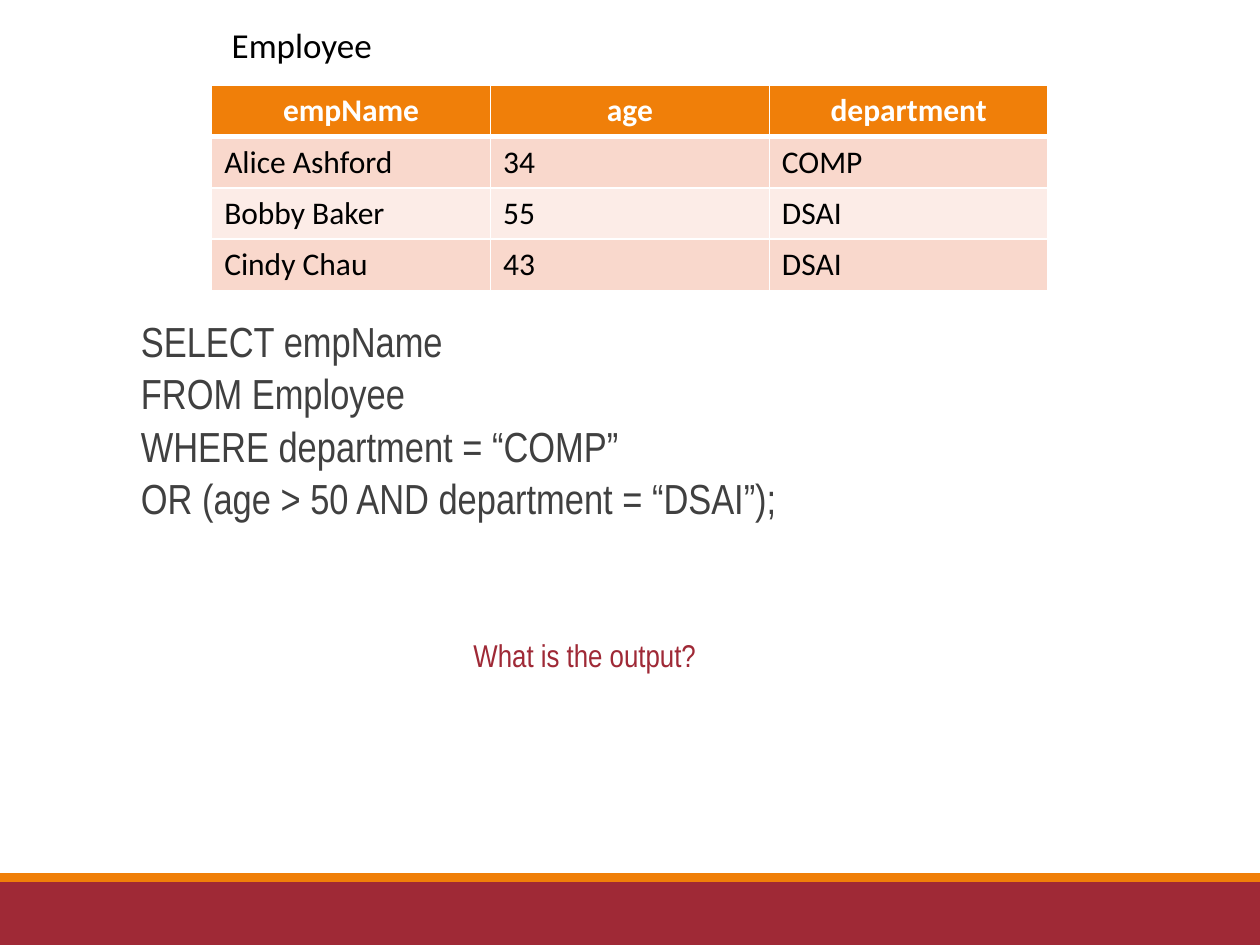
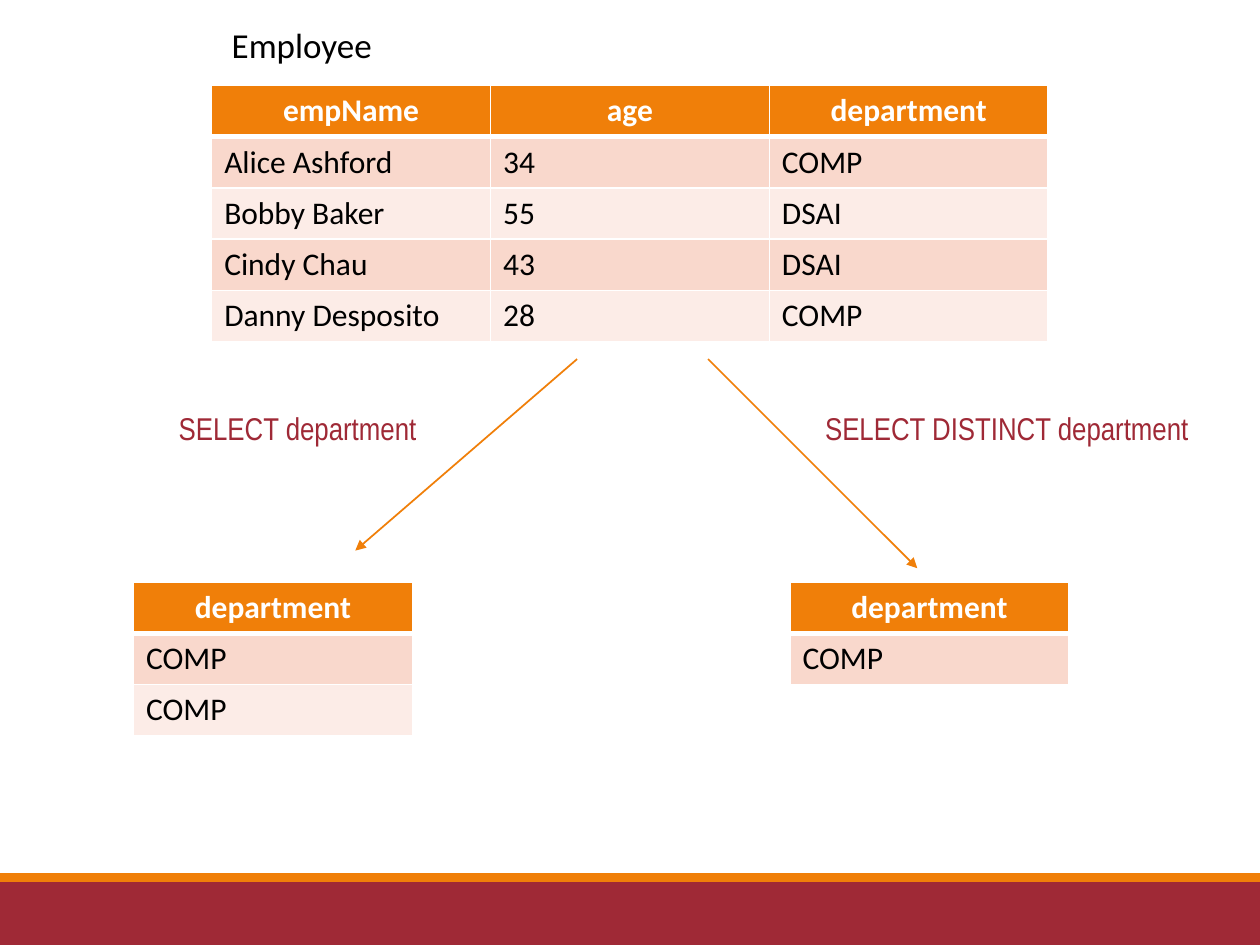
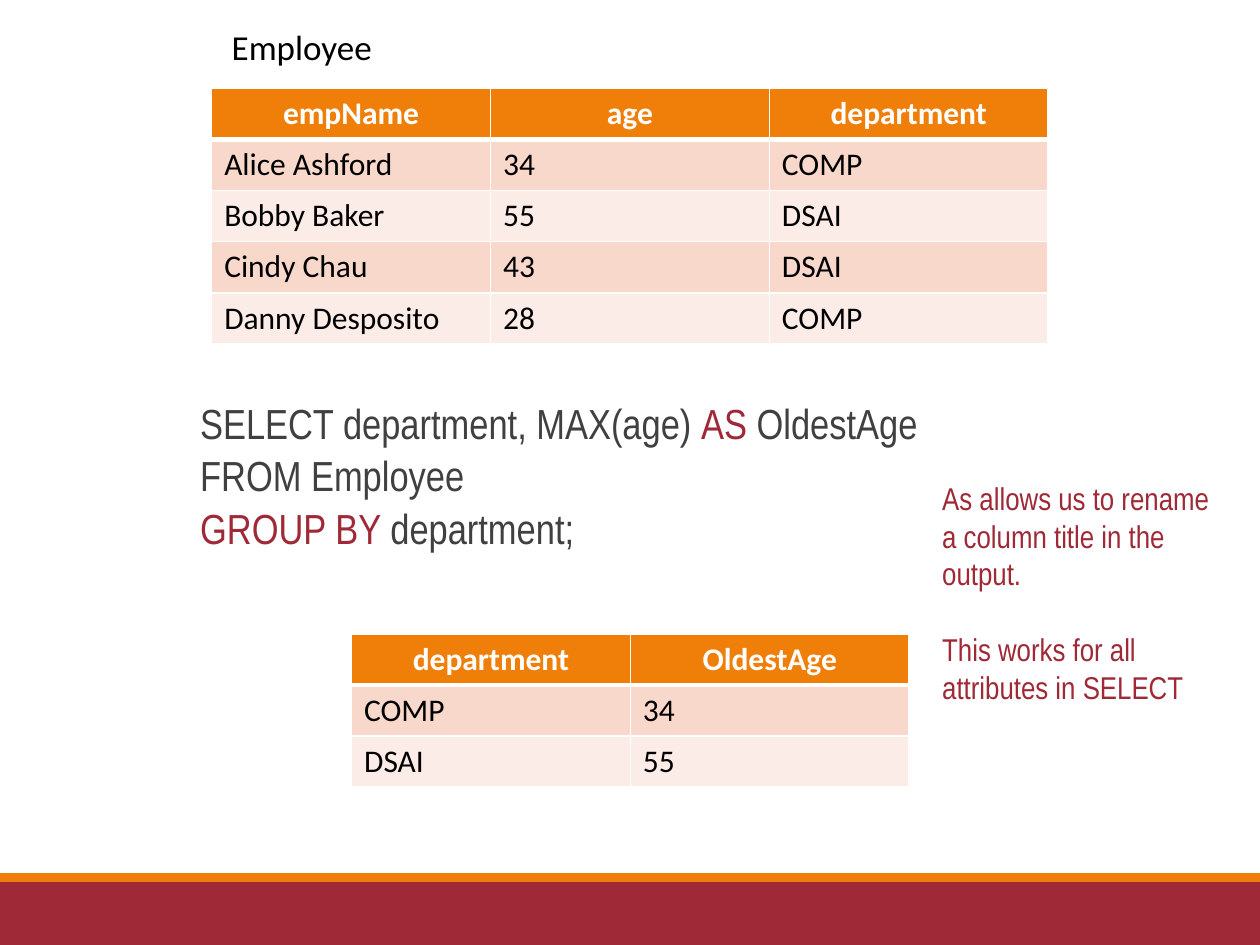
import pptx
import pptx.dml.color
import pptx.enum.shapes
import pptx.enum.text
import pptx.oxml.ns
import pptx.util
import lxml.etree

RGB = pptx.dml.color.RGBColor
RED = RGB(0x9F, 0x29, 0x36)
ORANGE = RGB(0xF0, 0x7F, 0x09)
ROSE = RGB(0xF9, 0xD8, 0xCC)
BLUSH = RGB(0xFC, 0xEC, 0xE7)
GREY = RGB(0x40, 0x40, 0x40)
BLACK = RGB(0, 0, 0)
WHITE = RGB(0xFF, 0xFF, 0xFF)

WIDTH, HEIGHT = pptx.util.Inches(10), pptx.util.Inches(7.5)
COLS, ROWS = 100, 75
CELL_W, CELL_H = 22.13, 4.06

PT = pptx.util.Pt
HEAD = {"name": "Calibri", "size": PT(18), "bold": True}
BODY = {"name": "Calibri", "size": PT(18), "bold": False}
LABEL = {"name": "Calibri", "size": PT(20)}
CODE = {"name": "Arial Narrow", "size": PT(24)}
NOTE = {"name": "Arial Narrow", "size": PT(18)}
CODE_GAPS = {"line_spacing": 0.9, "space_before": PT(2), "space_after": PT(2)}
MIDDLE = {"alignment": pptx.enum.text.PP_ALIGN.CENTER}

STAFF = [
    ("empName", "age", "department"),
    ("Alice Ashford", "34", "COMP"),
    ("Bobby Baker", "55", "DSAI"),
    ("Cindy Chau", "43", "DSAI"),
    ("Danny Desposito", "28", "COMP"),
]


def span(*box):
    """Turn pairs of grid columns and rows into lengths on the slide."""
    units = (WIDTH / COLS, HEIGHT / ROWS)
    return [round(part * units[i % 2]) for i, part in enumerate(box)]


def apply(target, looks):
    """Set each format value on the target."""
    for key, value in looks.items():
        setattr(target, key, value)


def add_run(para, words, font, tint):
    """Add one styled run to a paragraph."""
    run = para.add_run()
    run.text = words
    apply(run.font, font)
    run.font.color.rgb = tint


def add_node(parent, tag, **attrs):
    """Add a drawing element below the parent."""
    return lxml.etree.SubElement(parent, pptx.oxml.ns.qn(tag), attrs)


def add_text(slide, box, lines, font, looks, gap=None, **frame_looks):
    """Write lines of (words, tint) runs in a box, with a gap between lines."""
    frame = slide.shapes.add_textbox(*span(*box)).text_frame
    apply(frame, {"word_wrap": True, **frame_looks})
    for i, line in enumerate(lines):
        para = frame.add_paragraph() if i else frame.paragraphs[0]
        apply(para, looks)
        para.space_before = (gap or looks.get("space_before")) if i else None
        for words, tint in line:
            add_run(para, words, font, tint)


def add_note(slide, box, *lines):
    """Write red notes, one blank line's height apart."""
    add_text(slide, box, [[(line, RED)] for line in lines], NOTE, {}, PT(21.5))


def add_code(slide, box, *lines):
    """Write a query, with its key words marked by tint."""
    add_text(slide, box, lines, CODE, CODE_GAPS)


def edge_cell(cell, row):
    """Draw white cell borders, thick below the head row."""
    thick = {0: "a:lnB", 1: "a:lnT"}.get(row)
    for tag in ("a:lnL", "a:lnR", "a:lnT", "a:lnB"):
        width = PT(3 if tag == thick else 1)
        line = add_node(cell._tc.get_or_add_tcPr(), tag, w=str(width))
        add_node(add_node(line, "a:solidFill"), "a:srgbClr", val=str(WHITE))


def add_grid(slide, left, top, data):
    """Build a banded table of equal cells from its top left corner."""
    high, wide = len(data), len(data[0])
    box = span(left, top, wide * CELL_W, high * CELL_H)
    table = slide.shapes.add_table(high, wide, *box).table
    for r, row in enumerate(data):
        for c, words in enumerate(row):
            cell = table.cell(r, c)
            edge_cell(cell, r)
            cell.fill.solid()
            cell.fill.fore_color.rgb = (ROSE if r % 2 else BLUSH) if r else ORANGE
            para = cell.text_frame.paragraphs[0]
            apply(para, {} if r else MIDDLE)
            add_run(para, words, BODY if r else HEAD, BLACK if r else WHITE)


def add_staff(slide, left, top, data):
    """Place the staff table with its name above."""
    add_grid(slide, left, top + 5.5, data)
    add_text(slide, (left - 0.1, top, 14.5, 4.4), [[("Employee", BLACK)]],
             LABEL, MIDDLE, word_wrap=False,
             vertical_anchor=pptx.enum.text.MSO_ANCHOR.MIDDLE)


def add_arrow(slide, start, end):
    """Draw an orange arrow between two grid points."""
    kind = pptx.enum.shapes.MSO_CONNECTOR.STRAIGHT
    arrow = slide.shapes.add_connector(kind, *span(*start, *end))
    arrow.line.width = PT(1)
    arrow.line.color.rgb = ORANGE
    add_node(arrow.line._get_or_add_ln(), "a:tailEnd", type="triangle")
    add_node(arrow._element.spPr, "a:effectLst")


def add_slide(deck):
    """Start a blank slide with the two foot bands."""
    slide = deck.slides.add_slide(deck.slide_layouts[6])
    for top, high, tint in ((70, 5, RED), (69.3, 0.7, ORANGE)):
        band = slide.shapes.add_shape(
            pptx.enum.shapes.MSO_SHAPE.RECTANGLE, *span(0, top, COLS, high))
        band.shadow.inherit = False
        band.fill.solid()
        band.fill.fore_color.rgb = tint
        band.line.fill.background()
    return slide


def draw_filter(slide):
    """Ask for the output of a query with conditions."""
    add_staff(slide, 16.8, 1.3, STAFF[:4])
    query = ("SELECT empName", "FROM Employee", "WHERE department = “COMP”",
             "OR (age > 50 AND department = “DSAI”);")
    add_code(slide, (10.2, 25, 82.5, 24.9), *[[(line, GREY)] for line in query])
    add_note(slide, (36.6, 50, 32.7, 4), "What is the output?")


def draw_unique(slide):
    """Compare a plain selection with a distinct one."""
    add_staff(slide, 16.8, 1.3, STAFF)
    sides = (
        (10.6, 2, (45.8, 28.5), (28.2, 43.7), 13.2, "SELECT department"),
        (62.7, 1, (56.2, 28.5), (72.8, 45.1), 64.5, "SELECT DISTINCT department"),
    )
    for left, count, start, end, note, words in sides:
        add_grid(slide, left, 46.2, [("department",)] + [("COMP",)] * count)
        add_arrow(slide, start, end)
        add_note(slide, (note, 32, 32.7, 4), words)


def draw_group(slide):
    """Show a grouped query, its result and a note on renaming."""
    add_staff(slide, 16.8, 1.5, STAFF)
    add_code(slide, (14.9, 31.5, 82.5, 24.9),
             [("SELECT department, MAX(age) ", GREY), ("AS ", RED),
              ("OldestAge", GREY)],
             [("FROM Employee", GREY)],
             [("GROUP BY ", RED), ("department;", GREY)])
    add_grid(slide, 27.9, 50.3,
             [("department", "OldestAge"), ("COMP", "34"), ("DSAI", "55")])
    add_note(slide, (73.8, 37.5, 24.7, 19.2),
             "As allows us to rename a column title in the output.",
             "This works for all attributes in SELECT")


def main():
    """Build and save the deck."""
    deck = pptx.Presentation()
    apply(deck, {"slide_width": WIDTH, "slide_height": HEIGHT})
    for draw in (draw_filter, draw_unique, draw_group):
        draw(add_slide(deck))
    deck.save("out.pptx")


if __name__ == "__main__":
    main()
